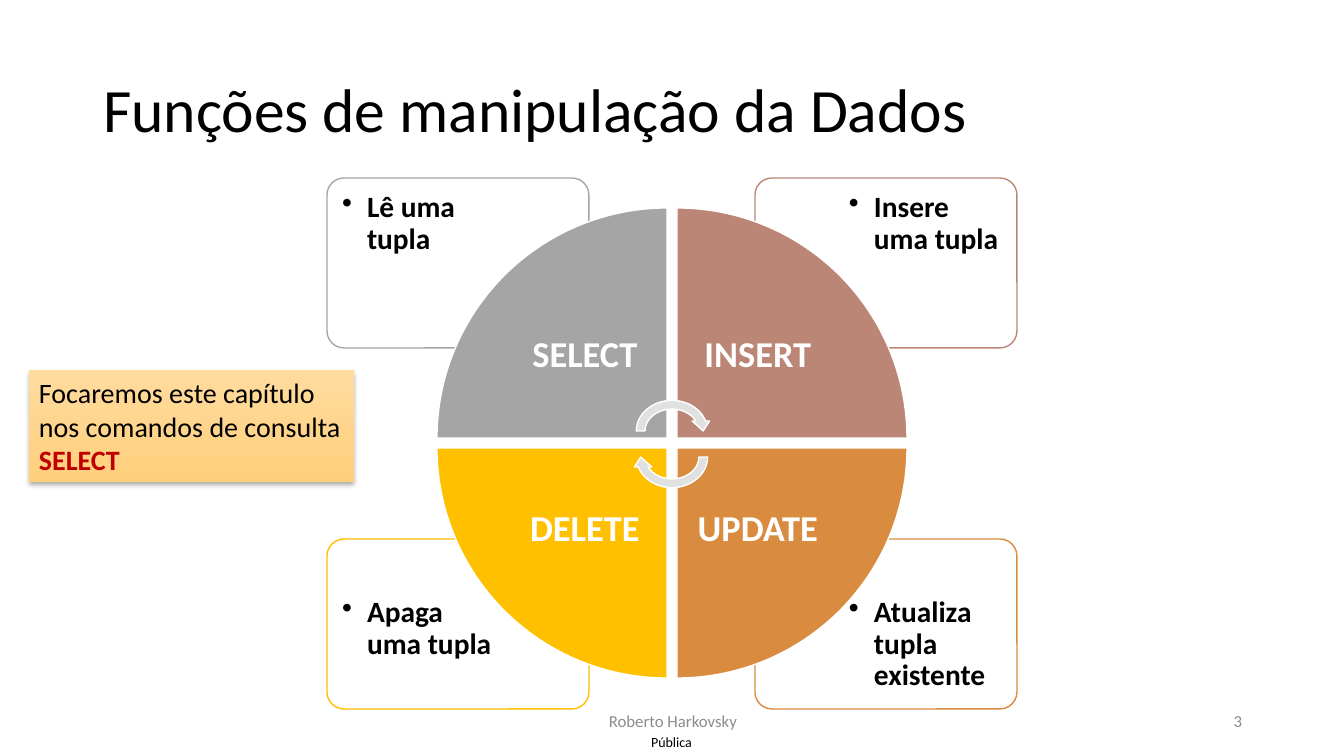
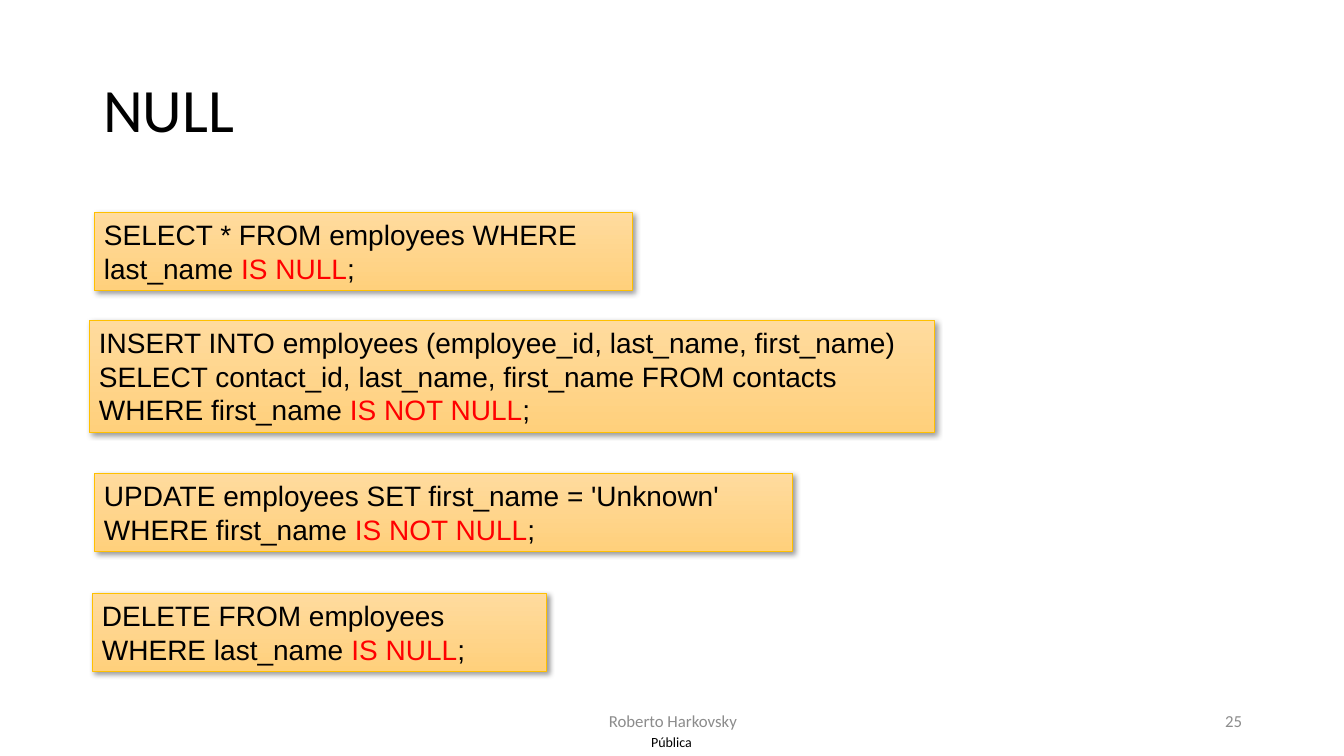
from pptx import Presentation
from pptx.dml.color import RGBColor
from pptx.enum.shapes import MSO_SHAPE as Kind
from pptx.enum.text import MSO_ANCHOR as Anchor, MSO_AUTO_SIZE as Fit, PP_ALIGN as Align
from pptx.oxml import parse_xml
from pptx.oxml.ns import nsdecls, qn
from pptx.util import Emu, Pt

BLACK = RGBColor(0, 0, 0)
WHITE = RGBColor(255, 255, 255)
GRAY = RGBColor(0x8C, 0x8C, 0x8C)
SILVER = RGBColor(0xA5, 0xA5, 0xA5)
PALE = RGBColor(0xE1, 0xE1, 0xE1)
ROSE = RGBColor(0xBB, 0x86, 0x76)
ORANGE = RGBColor(0xD9, 0x8B, 0x3F)
GOLD = RGBColor(0xFF, 0xC0, 0)
CREAM = RGBColor(0xFF, 0xDB, 0x9E)
SAND = RGBColor(0xFF, 0xD0, 0x7C)
RED = RGBColor(0xFF, 0, 0)
WINE = RGBColor(0xC0, 0, 0)

SCALE = 914400 / 100.8


def px(n):
    return Emu(round(n * SCALE))


class Deck:
    font = "Calibri"

    def __init__(self):
        self.prs = Presentation()
        self.prs.slide_width, self.prs.slide_height = px(1344), px(756)

    def start(self, title, number):
        self.slide = self.prs.slides.add_slide(self.prs.slide_layouts[5])
        head = self.slide.shapes.title
        head.left, head.top, head.width, head.height = map(px, (93, 40, 1159, 146))
        head.text_frame.auto_size = Fit.NONE
        self.label(head, title, 44, spacing=0.9)
        self.text((636, 727, 71, 29), "Pública", 10, inset=0, align=Align.CENTER)
        self.text((446, 701, 454, 40), "Roberto Harkovsky", 12, GRAY, align=Align.CENTER)
        self.text((950, 701, 302, 40), number, 12, GRAY, align=Align.RIGHT)

    def label(self, shape, words, size, color=BLACK, bold=False, align=Align.LEFT,
              anchor=Anchor.MIDDLE, inset=None, spacing=None, font=None):
        frame = shape.text_frame
        frame.word_wrap = True
        frame.vertical_anchor = anchor
        if inset is not None:
            frame.margin_left = frame.margin_right = px(inset)
            frame.margin_top = frame.margin_bottom = px(inset)
        para = frame.paragraphs[0]
        para.add_run().text = words
        para.alignment = align
        if spacing:
            para.line_spacing = spacing
        para.font.name, para.font.size = font or self.font, Pt(size)
        para.font.bold, para.font.color.rgb = bold, color
        return para

    def text(self, box, words, size, color=BLACK, **style):
        shape = self.slide.shapes.add_textbox(*map(px, box))
        return self.label(shape, words, size, color, **style)

    def bullet(self, box, words):
        para = self.text(box, words, 21, bold=True, anchor=Anchor.TOP, inset=11, spacing=0.9)
        props = para._p.get_or_add_pPr()
        props.set("marL", str(px(25)))
        props.set("indent", str(-px(25)))
        mark = parse_xml(f'<a:buChar {nsdecls("a")} char="•"/>')
        props.find(qn("a:defRPr")).addprevious(mark)

    def shape(self, kind, box, fill, line, turn=0):
        shape = self.slide.shapes.add_shape(kind, *map(px, box))
        shape.shadow.inherit = False
        shape.rotation = turn
        if fill:
            shape.fill.solid()
            shape.fill.fore_color.rgb = fill
        if line:
            shape.line.color.rgb, shape.line.width = line, Pt(1)
        else:
            shape.line.fill.background()
        return shape

    def card(self, box, line):
        self.shape(Kind.ROUNDED_RECTANGLE, box, WHITE, line).adjustments[0] = 0.1

    def note(self, box, words, key, tail="", tint=RED, bold=False, line=None,
             font=None, shade=(40, 4, 3, 45)):
        shape = self.shape(Kind.RECTANGLE, box, None, line)
        if line:
            shape.line.width = Pt(0.5)
        shape.fill.gradient()
        shape.fill.gradient_angle = 270
        for stop, color in zip(shape.fill.gradient_stops, (CREAM, SAND)):
            stop.color.rgb = color
        self.cast(shape, *shade)
        para = self.label(shape, words, 20, font=font)
        run = para.add_run()
        run.text = key
        run.font.color.rgb = tint
        if bold:
            run.font.bold = True
        if tail:
            para.add_run().text = tail

    def cast(self, shape, alpha, blur, dist, angle):
        shape._element.spPr.find(qn("a:effectLst")).append(parse_xml(
            f'<a:outerShdw {nsdecls("a")} blurRad="{int(Pt(blur))}" dist="{int(Pt(dist))}" '
            f'dir="{angle * 60000}" algn="t" rotWithShape="0"><a:srgbClr val="000000">'
            f'<a:alpha val="{alpha * 1000}"/></a:srgbClr></a:outerShdw>'))


deck = Deck()

deck.start("Funções de manipulação da Dados", "3")
parts = [
    (1, 1, "UPDATE", "Atualiza tupla existente", ORANGE, 180),
    (0, 1, "DELETE", "Apaga uma tupla", GOLD, 270),
    (1, 0, "INSERT", "Insere uma tupla", ROSE, 90),
    (0, 0, "SELECT", "Lê uma tupla", SILVER, 0),
]
for col, row, verb, words, color, turn in parts:
    deck.card((327 + 428 * col, 178 + 361 * row, 262, 170), color)
    deck.bullet((331 + 507 * col, 181 + 405 * row, 176, 120), words)
for col, row, verb, words, color, turn in parts:
    deck.shape(Kind.PIE_WEDGE, (437 + 240 * col, 208 + 240 * row, 230, 230), color, WHITE, turn)
    deck.text((504 + 173 * col, 275 + 174 * row, 162, 162), verb, 26, WHITE, bold=True,
              align=Align.CENTER, inset=20, spacing=0.9)
for top, turn in ((396, 0), (422, 180)):
    deck.shape(Kind.CIRCULAR_ARROW, (632, top, 80, 70), PALE, WHITE, turn)
deck.note((29, 370, 325, 112), "Focaremos este capítulo nos comandos de consulta ", "SELECT",
          tint=WINE, bold=True, shade=(32, 3.5, 2.2, 90))

deck.start("NULL", "25")
for box, words, key in [
    ((94, 212, 538, 78), "SELECT * FROM employees WHERE last_name ", "IS NULL"),
    ((89, 320, 845, 112), "INSERT INTO employees (employee_id, last_name, first_name) "
     "SELECT contact_id, last_name, first_name FROM contacts WHERE first_name ", "IS NOT NULL"),
    ((94, 473, 698, 78), "UPDATE employees SET first_name = 'Unknown' WHERE first_name ",
     "IS NOT NULL"),
    ((92, 593, 454, 78), "DELETE FROM employees WHERE last_name ", "IS NULL"),
]:
    deck.note(box, words, key, ";", line=GOLD, font="Arial")

deck.prs.save("out.pptx")
